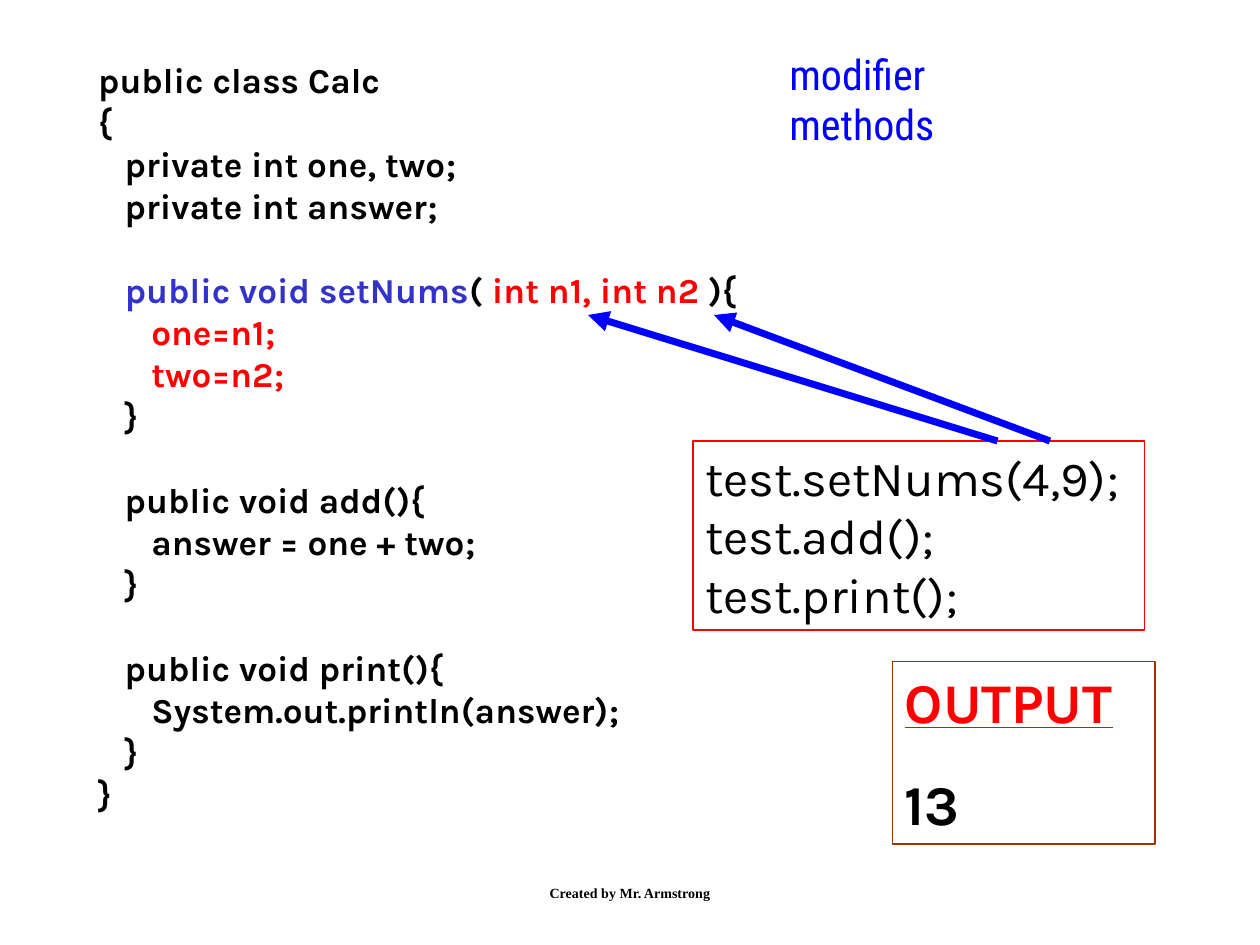
from lxml import etree
from pptx import Presentation
from pptx.dml.color import RGBColor
from pptx.enum.shapes import MSO_CONNECTOR, MSO_SHAPE
from pptx.enum.text import MSO_ANCHOR, PP_ALIGN
from pptx.oxml.ns import qn
from pptx.util import Pt

STRAIGHT = MSO_CONNECTOR.STRAIGHT
RECTANGLE = MSO_SHAPE.RECTANGLE
TOP, MIDDLE = MSO_ANCHOR.TOP, MSO_ANCHOR.MIDDLE
LEFT, CENTER = PP_ALIGN.LEFT, PP_ALIGN.CENTER

BLACK = RGBColor(0x00, 0x00, 0x00)
RED = RGBColor(0xFF, 0x00, 0x00)
BLUE = RGBColor(0x00, 0x00, 0xFF)
INDIGO = RGBColor(0x33, 0x33, 0xCC)
BROWN = RGBColor(0x99, 0x33, 0x00)

deck = Presentation()
deck.slide_width, deck.slide_height = Pt(720), Pt(540)
page = deck.slides.add_slide(deck.slide_layouts[6])


def add_box(left, top, width, height, border=None, wrap=True, anchor=TOP):
    place = Pt(left), Pt(top), Pt(width), Pt(height)
    if border is None:
        box = page.shapes.add_textbox(*place)
    else:
        box = page.shapes.add_shape(RECTANGLE, *place)
        box.shadow.inherit = False
        box.fill.background()
        box.line.color.rgb = border
        box.line.width = Pt(1)
    box.text_frame.word_wrap = wrap
    box.text_frame.vertical_anchor = anchor
    return box.text_frame


def format_text(frame, font, size, color, bold=False, align=LEFT):
    for para in frame.paragraphs:
        para.alignment = align
        for span in para.runs:
            span.font.name = font
            span.font.size = Pt(size)
            span.font.bold = bold
            span.font.color.rgb = color


code_blocks = [
    ["public class Calc", "{", "   private int one, two;", "   private int answer;"],
    ["   public void setNums( int n1, int n2 ){", "      one=n1;", "      two=n2;", "   }"],
    ["   public void add(){", "      answer = one + two;", "   }"],
    ["   public void print(){", "      System.out.println(answer);", "   }", "}"],
]
signature = [("   ", BLACK), ("public void setNums", INDIGO), ("( ", BLACK),
             ("int n1, int n2", RED), (" ){", BLACK)]

code = add_box(49, 30, 392, 440, wrap=False)
code.text = "\n".join(line for block in code_blocks for line in block)
format_text(code, "Karla", 20, BLACK, bold=True)

first_line = 0
for block in code_blocks:
    if first_line:
        code.paragraphs[first_line].space_before = Pt(24)
    first_line += len(block)

setter, *assignments = code.paragraphs[4:7]
setter.clear()
for words, color in signature:
    span = setter.add_run()
    span.text = words
    span.font.name = "Karla"
    span.font.size = Pt(20)
    span.font.bold = True
    span.font.color.rgb = color
for para in assignments:
    para.runs[0].font.color.rgb = RED

calls = add_box(396, 252, 258, 108, border=RED, anchor=TOP)
calls.paragraphs[0].text = "test.setNums(4,9); test.add();\vtest.print();"
format_text(calls, "Karla", 28, BLACK)

for start_x, end_x in [(570, 336), (600, 408)]:
    arrow = page.shapes.add_connector(STRAIGHT, Pt(start_x), Pt(252), Pt(end_x), Pt(180))
    arrow.line.color.rgb = BLUE
    arrow.line.width = Pt(4)
    etree.SubElement(arrow.line._get_or_add_ln(), qn("a:tailEnd"), type="triangle")
    etree.SubElement(arrow._element.spPr, qn("a:effectLst"))

output = add_box(510, 378, 150, 104.5, border=BROWN)
output.text = "OUTPUT\n13"
format_text(output, "Karla", 32, BLACK, bold=True)
heading, result = output.paragraphs
heading.runs[0].font.color.rgb = RED
heading.runs[0].font.underline = True
result.space_before = Pt(20)

title = add_box(444, 24, 240, 96, wrap=False)
title.text = "modifier\nmethods"
format_text(title, "Roboto Condensed", 24, BLUE)

footer = add_box(246, 492, 228, 36, anchor=MIDDLE)
footer.text = "Created by Mr. Armstrong"
format_text(footer, "Times New Roman", 8, BLACK, bold=True, align=CENTER)

deck.save("out.pptx")
